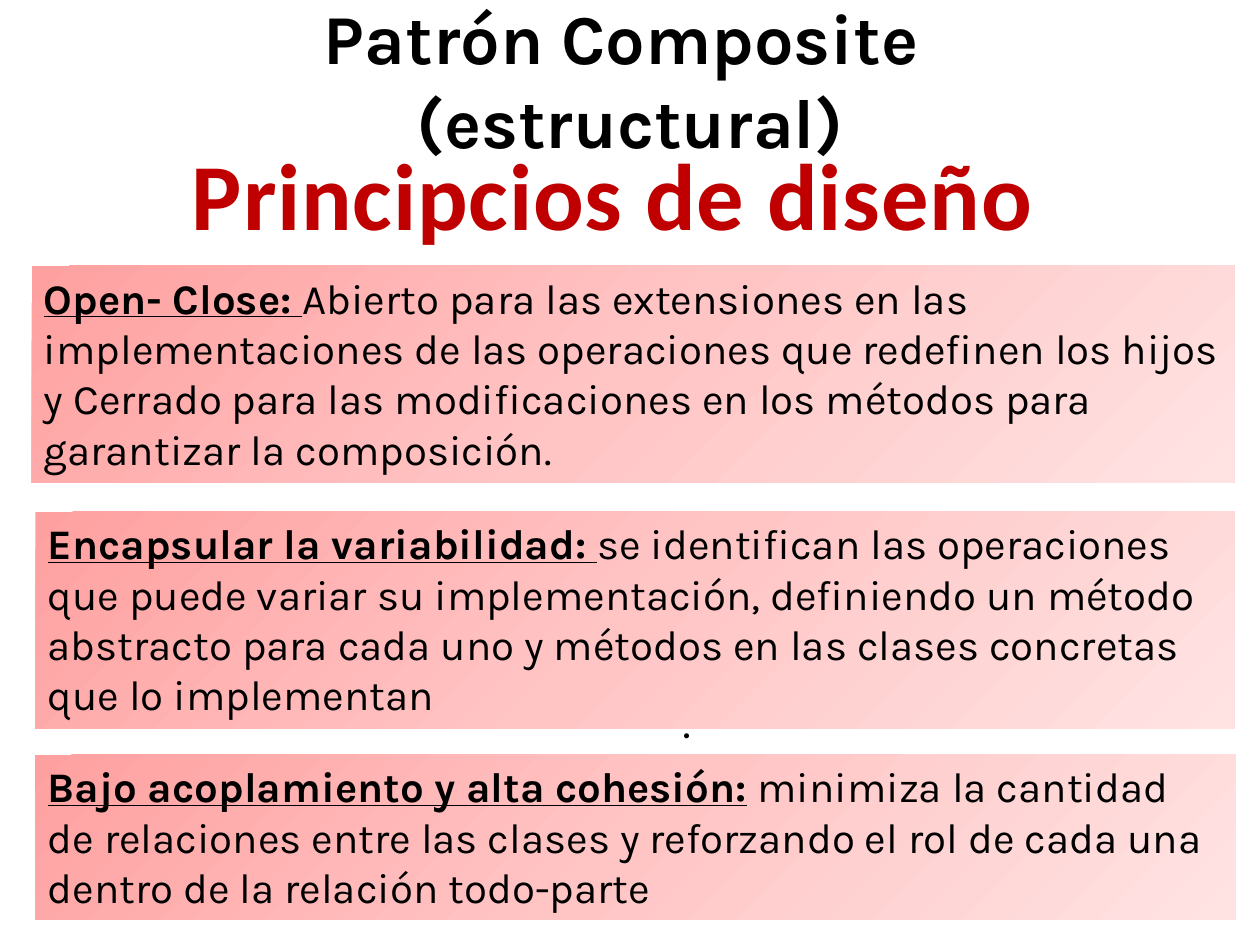
"""Build the slide on the design principles of the Composite pattern."""
from copy import deepcopy

from pptx import Presentation
from pptx.dml.color import RGBColor
from pptx.enum import shapes, text
from pptx.util import Inches, Pt

BLACK, RED = "000000", "C00000"
STOPS = [(0, "FFA0A0"), (0.5, "FFC5C5"), (1, "FFE3E3")]
TITLE = ["Patrón Composite ", "(estructural)"]
HEAD = "Principcios de diseño"
CARDS = [
    ((0.25, 2.11, 9.55, 1.72), "Open- Close: ", "",
     "Abierto para las extensiones en las implementaciones de las operaciones "
     "que redefinen los hijos y Cerrado para las modificaciones en los métodos "
     "para garantizar la composición."),
    ((0.28, 4.06, 9.52, 1.72), "Encapsular la variabilidad: ", "",
     "se identifican las operaciones que puede variar su implementación, "
     "definiendo un método abstracto para cada uno y métodos en las clases "
     "concretas que lo implementan"),
    ((0.28, 5.99, 9.53, 1.31), "Bajo acoplamiento y alta cohesión:", " ",
     "minimiza la cantidad de relaciones entre las clases y reforzando el rol "
     "de cada una dentro de la relación todo-parte"),
]


def rgb(code):
    """Turn a hex string into a colour."""
    return RGBColor.from_string(code)


def add_run(para, words, size, face="Karla", color=BLACK, bold=False, line=False):
    """Add one styled run to a paragraph."""
    run = para.add_run()
    run.text = words
    font = run.font
    font.size, font.name, font.bold, font.underline = Pt(size), face, bold, line
    font.color.rgb = rgb(color)
    return run


def add_box(slide, place, wrap=True, center=False):
    """Add a text box and return its first paragraph."""
    frame = slide.shapes.add_textbox(*map(Inches, place)).text_frame
    frame.word_wrap = wrap
    frame.vertical_anchor = text.MSO_ANCHOR.MIDDLE if wrap else text.MSO_ANCHOR.TOP
    para = frame.paragraphs[0]
    para.alignment = text.PP_ALIGN.CENTER if center else text.PP_ALIGN.LEFT
    return para


def shade(card):
    """Fill a card with the diagonal gradient."""
    card.fill.gradient()
    card.fill.gradient_angle = 315
    first = card.fill._xPr.xpath(".//a:gs")[0]
    first.addnext(deepcopy(first))
    for stop, (pos, color) in zip(card.fill.gradient_stops, STOPS):
        stop.position = pos
        stop.color.rgb = rgb(color)


def add_card(slide, place, lead, gap, body):
    """Add one principle with its underlined lead."""
    card = slide.shapes.add_shape(shapes.MSO_SHAPE.RECTANGLE, *map(Inches, place))
    card.shadow.inherit = False
    card.line.fill.background()
    shade(card)
    frame = card.text_frame
    frame.word_wrap = True
    frame.vertical_anchor = text.MSO_ANCHOR.TOP
    para = frame.paragraphs[0]
    para.alignment = text.PP_ALIGN.LEFT
    add_run(para, lead, 24, bold=True, line=True)
    if gap:
        add_run(para, gap, 24, bold=True)
    add_run(para, body, 24)


def main():
    """Lay out the slide and save it."""
    deck = Presentation()
    deck.slide_width, deck.slide_height = Inches(10), Inches(7.5)
    slide = deck.slides.add_slide(deck.slide_layouts[6])

    para = add_box(slide, (0.5, 0, 9, 1.25), center=True)
    add_run(para, TITLE[0], 40, bold=True)
    para.add_line_break()
    add_run(para, TITLE[1], 40, bold=True)

    add_run(add_box(slide, (5.31, 5.48, 0.29, 0.5), wrap=False), ".", 24, "Calibri")

    para = add_box(slide, (1.39, 1.03, 6.95, 1.01), wrap=False, center=True)
    run = add_run(para, HEAD, 54, "Calibri", RED, bold=True)
    run.font._element.set("spc", "50")

    for card in CARDS:
        add_card(slide, *card)
    deck.save("out.pptx")


if __name__ == "__main__":
    main()
